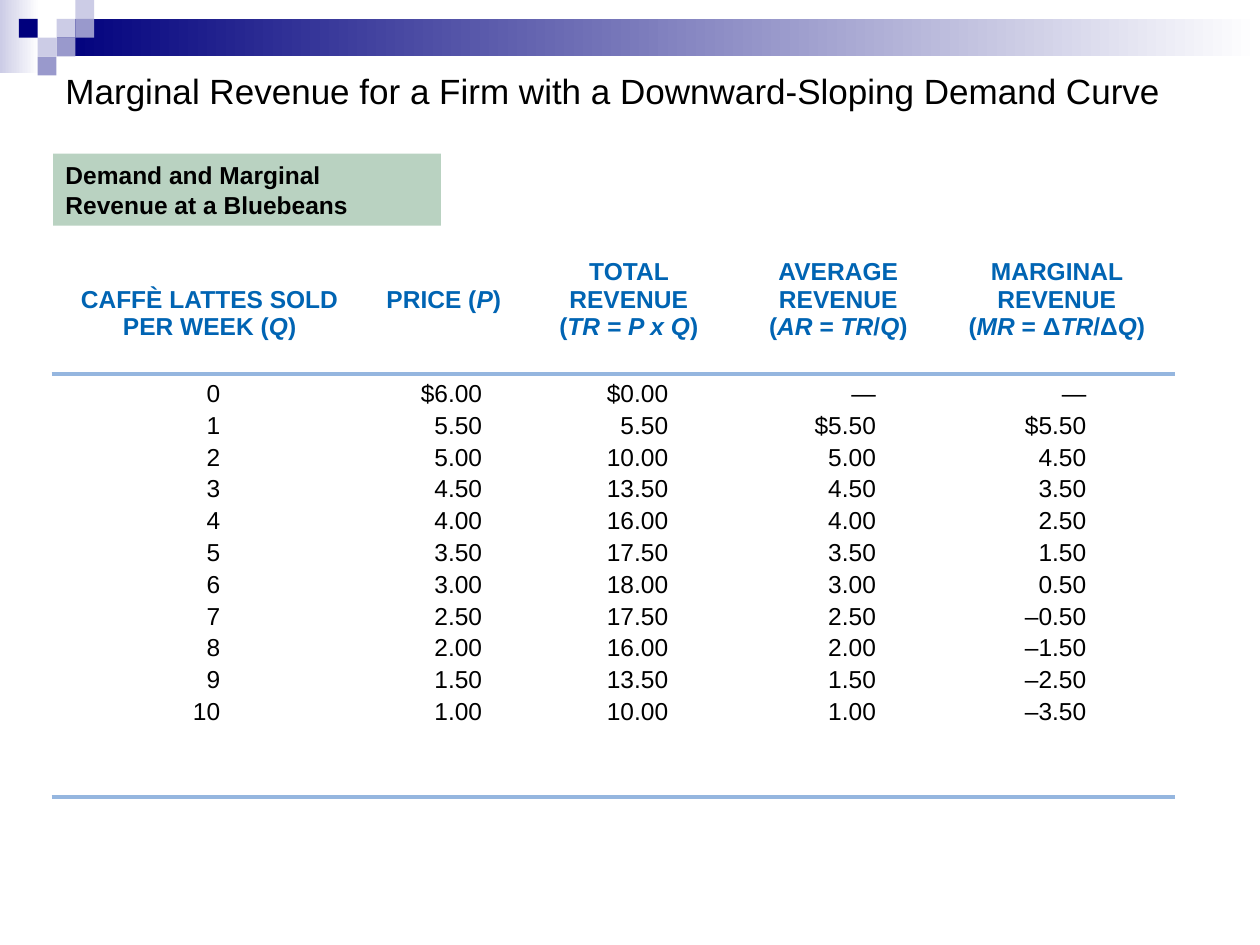
"""Build a slide with a table of demand and marginal revenue at a coffee shop."""
from dataclasses import dataclass

import lxml.etree
import pptx
import pptx.dml.color
import pptx.enum.shapes
import pptx.enum.text
import pptx.oxml.ns
import pptx.util

Cm, Pt = pptx.util.Cm, pptx.util.Pt
ALIGN = pptx.enum.text.PP_ALIGN
qn = pptx.oxml.ns.qn

COLORS = {"navy": "00007D", "pale": "CCCCE6", "mid": "9999CC", "white": "FFFFFF",
          "black": "000000", "header": "0064B3", "rule": "95B6DF", "label": "B9D2C1"}
FONT = "Arial"
UNIT = 0.38
NO_STYLE = "{2D5ABB26-0587-4C30-8999-92F81FD0307C}"
WIDTHS = [5.05, 1.32, 3.07, 4.39, 4.06, 4.75]
HEIGHTS = [2.46, 8.53]


@dataclass
class Band:
    left: float
    top: float
    width: float
    height: float
    color: str


@dataclass
class Square:
    col: int
    row: int
    color: str


@dataclass
class Column:
    header: str
    header_col: int
    header_end: int
    data_col: int
    data_end: int
    right_inset: float
    values: str


BANDS = [Band(0, 0, 0.79, 1.47, "pale"), Band(1.14, 0.38, 24.26, 0.76, "navy")]
SQUARES = [Square(3, 1, "pale"), Square(4, 0, "pale"), Square(4, 1, "mid"),
           Square(2, 2, "pale"), Square(1, 1, "navy"), Square(3, 2, "mid"),
           Square(2, 3, "mid")]
COLUMNS = [
    Column("\nCAFFÈ LATTES SOLD PER WEEK (*Q*)", 0, 1, 0, 0, 1.65,
           "0 1 2 3 4 5 6 7 8 9 10"),
    Column("\nPRICE (*P*)", 2, 2, 1, 2, 0.76,
           "$6.00 5.50 5.00 4.50 4.00 3.50 3.00 2.50 2.00 1.50 1.00"),
    Column("TOTAL REVENUE\n(*TR = P x Q*)", 3, 3, 3, 3, 1.4,
           "$0.00 5.50 10.00 13.50 16.00 17.50 18.00 17.50 16.00 13.50 10.00"),
    Column("AVERAGE\nREVENUE\n(*AR *=* TR*/*Q*)", 4, 4, 4, 4, 1.27,
           "― $5.50 5.00 4.50 4.00 3.50 3.00 2.50 2.00 1.50 1.00"),
    Column("MARGINAL REVENUE\n(*MR* = Δ*TR*/Δ*Q*)", 5, 5, 5, 5, 1.78,
           "― $5.50 4.50 3.50 2.50 1.50 0.50 –0.50 –1.50 –2.50 –3.50"),
]


def rgb(name: str) -> pptx.dml.color.RGBColor:
    return pptx.dml.color.RGBColor.from_string(COLORS[name])


def set_font(p, size: float, color: str, bold: bool = False) -> None:
    p.font.name, p.font.size, p.font.bold = FONT, Pt(size), bold
    p.font.color.rgb = rgb(color)


def add_rect(slide, left: float, top: float, width: float, height: float, color: str):
    sp = slide.shapes.add_shape(pptx.enum.shapes.MSO_SHAPE.RECTANGLE,
                                Cm(left), Cm(top), Cm(width), Cm(height))
    sp.shadow.inherit = False
    sp.line.fill.background()
    sp.fill.solid()
    sp.fill.fore_color.rgb = rgb(color)
    return sp


def add_band(slide, band: Band) -> None:
    sp = add_rect(slide, band.left, band.top, band.width, band.height, band.color)
    sp.fill.gradient()
    sp.fill.gradient_angle = 0
    for stop, color in zip(sp.fill.gradient_stops, (band.color, "white")):
        stop.color.rgb = rgb(color)


def add_title(slide, text: str) -> None:
    sp = slide.shapes.add_textbox(Cm(1.07), Cm(1.27), Cm(22.66), Cm(1.8))
    sp.text_frame.word_wrap = True
    p = sp.text_frame.paragraphs[0]
    p.text = text
    set_font(p, 20, "black")


def add_label(slide, text: str) -> None:
    sp = add_rect(slide, 1.07, 3.1, 7.82, 1.45, "label")
    tf = sp.text_frame
    tf.word_wrap = True
    tf.margin_right = Cm(0.5)
    p = tf.paragraphs[0]
    p.text = text
    p.alignment = ALIGN.LEFT
    set_font(p, 14, "black", True)


def add_markup(p, text: str) -> None:
    for i, part in enumerate(text.split("*")):
        for j, line in enumerate(part.split("\n")):
            if j:
                p.add_line_break()
            if line:
                r = p.add_run()
                r.text = line
                if i % 2:
                    r.font.italic = True


def add_borders(cell, sides: str) -> None:
    tcPr = cell._tc.get_or_add_tcPr()
    for i, side in enumerate(sides):
        ln = lxml.etree.Element(qn(f"a:ln{side}"), w=str(Pt(2.25)))
        fill = lxml.etree.SubElement(ln, qn("a:solidFill"))
        lxml.etree.SubElement(fill, qn("a:srgbClr"), val=COLORS["rule"])
        tcPr.insert(i, ln)


def fill_column(tb, column: Column) -> None:
    head = tb.cell(0, column.header_col)
    if column.header_end > column.header_col:
        head.merge(tb.cell(0, column.header_end))
    p = head.text_frame.paragraphs[0]
    p.alignment = ALIGN.CENTER
    set_font(p, 14, "header", True)
    add_markup(p, column.header)

    body = tb.cell(1, column.data_col)
    if column.data_end > column.data_col:
        body.merge(tb.cell(1, column.data_end))
    body.margin_right = Cm(column.right_inset)
    tf = body.text_frame
    for i, value in enumerate(column.values.split()):
        p = tf.add_paragraph() if i else tf.paragraphs[0]
        p.text = value
        p.alignment = ALIGN.RIGHT
        p.space_before = Pt(2.45 if i else 0)
        set_font(p, 14, "black")


def add_revenue_table(slide) -> None:
    frame = slide.shapes.add_table(len(HEIGHTS), len(WIDTHS), Cm(1.04), Cm(5.08),
                                   Cm(sum(WIDTHS)), Cm(sum(HEIGHTS)))
    tb = frame.table
    tb.first_row = tb.horz_banding = False
    tb._tbl.tblPr.find(qn("a:tableStyleId")).text = NO_STYLE
    for col, width in zip(tb.columns, WIDTHS):
        col.width = Cm(width)
    for row, height, sides in zip(tb.rows, HEIGHTS, ("B", "TB")):
        row.height = Cm(height)
        for cell in row.cells:
            cell.fill.background()
            add_borders(cell, sides)
    for column in COLUMNS:
        fill_column(tb, column)


def main() -> None:
    prs = pptx.Presentation()
    prs.slide_width, prs.slide_height = Cm(25.4), Cm(19.05)
    slide = prs.slides.add_slide(prs.slide_layouts[6])
    for band in BANDS:
        add_band(slide, band)
    for sq in SQUARES:
        add_rect(slide, sq.col * UNIT, sq.row * UNIT, UNIT, UNIT, sq.color)
    add_title(slide, "Marginal Revenue for a Firm with a Downward-Sloping Demand Curve")
    add_revenue_table(slide)
    add_label(slide, "Demand and Marginal Revenue at a Bluebeans")
    prs.save("out.pptx")


main()
